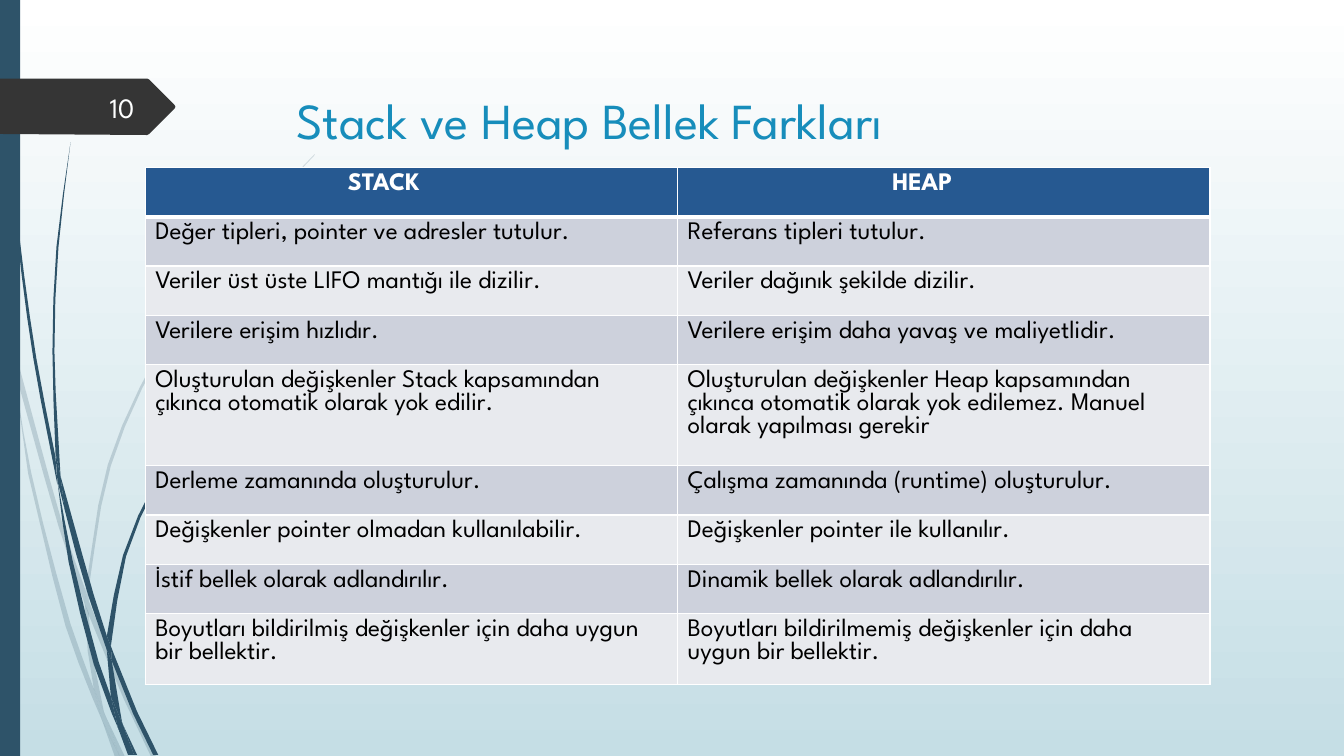
from math import dist
from lxml.etree import SubElement
from pptx import Presentation
from pptx.dml.color import RGBColor
from pptx.enum.shapes import MSO_SHAPE
from pptx.enum.text import MSO_ANCHOR, PP_ALIGN
from pptx.oxml.ns import qn
from pptx.util import Pt

PX = 9144  # 100 px to the inch
FONT = "League Spartan"
TEAL, WHITE = "2E5369", "FFFFFF"

TITLE = "Stack ve Heap Bellek Farkları"
PAGE = "10"
HEADS = [("STACK", 201), ("HEAP", 213)]  # text, left margin
ROWS = [
    ("Değer tipleri, pointer ve adresler tutulur.", "Referans tipleri tutulur."),
    ("Veriler üst üste LIFO mantığı ile dizilir.", "Veriler dağınık şekilde dizilir."),
    ("Verilere erişim hızlıdır.", "Verilere erişim daha yavaş ve maliyetlidir."),
    ("Oluşturulan değişkenler Stack kapsamından çıkınca otomatik olarak yok edilir.",
     "Oluşturulan değişkenler Heap kapsamından çıkınca otomatik olarak yok edilemez. "
     "Manuel olarak yapılması gerekir"),
    ("Derleme zamanında oluşturulur.", "Çalışma zamanında (runtime) oluşturulur."),
    ("Değişkenler pointer olmadan kullanılabilir.", "Değişkenler pointer ile kullanılır."),
    ("İstif bellek olarak adlandırılır.", "Dinamik bellek olarak adlandırılır."),
    ("Boyutları bildirilmiş değişkenler için daha uygun bir bellektir.",
     "Boyutları bildirilmemiş değişkenler için daha uygun bir bellektir."),
]
ROW_H, TALL_H, TALL = 49, 61, 4

# Each blade of grass has two smooth edges, given by the points they pass through
PALE = [
    ([(11, 350), (9, 322), (0, 282)], [(0, 299), (10, 344)]),
    ([(17, 376), (58, 522), (84, 599)], [(85, 586), (62, 520), (14, 345)]),
    ([(88, 610), (123, 694), (150, 751)], [(155, 751), (127, 692), (88, 596)]),
    ([(119, 751), (124, 751)], [(105, 711)]),
    ([(101, 714), (93, 683), (70, 619), (31, 469), (11, 350)],
     [(28, 470), (65, 621), (92, 693)]),
    ([(84, 599), (87, 646), (93, 683), (105, 711)], [(103, 706), (91, 646), (88, 608)]),
    ([(88, 596), (88, 584), (110, 462), (160, 349), (229, 245), (312, 154)],
     [(312, 153), (228, 244), (158, 348), (107, 461), (85, 584)]),
    ([(101, 714), (114, 751)], [(119, 751)]),
    ([(84, 599), (88, 610)], [(88, 596), (85, 586)]),
    ([(105, 711), (93, 683)], [(101, 714), (119, 751)]),
]
DARK = [
    ([(3, 0), (7, 110), (17, 233), (33, 355), (57, 481)],
     [(55, 453), (36, 355), (19, 232), (8, 109), (4, 0)]),
    ([(60, 472), (64, 505), (88, 592), (106, 645)], [(106, 631), (93, 590), (60, 472)]),
    ([(110, 641), (111, 656), (132, 708), (152, 749)], [(157, 749), (136, 706), (113, 649)]),
    ([(117, 722), (110, 691), (98, 657), (72, 556), (57, 477)],
     [(57, 477), (68, 557), (93, 659), (111, 708)]),
    ([(60, 472), (54, 349), (58, 245), (70, 141)],
     [(70, 141), (56, 245), (52, 349), (55, 449)]),
    ([(133, 749), (136, 749)], [(122, 719)]),
    ([(55, 449), (57, 477)], [(64, 505), (60, 472)]),
    ([(110, 641), (125, 552), (158, 476), (205, 406), (261, 344)],
     [(260, 344), (204, 405), (156, 474), (122, 551), (106, 631)]),
    ([(117, 722), (127, 749)], [(131, 749)]),
    ([(106, 645), (110, 691), (122, 719)], [(121, 716), (111, 656)]),
    ([(106, 645), (111, 656)], [(110, 641), (106, 631)]),
    ([(133, 749), (122, 719), (110, 691)], [(117, 722), (130, 749)]),
]
TAG = [(0, 78), (146, 78), (148, 79), (173, 104), (174, 106),
       (173, 108), (148, 133), (146, 134), (0, 133)]


def rgb(code):
    return RGBColor.from_string(code)


def px(*sizes):
    return [round(size * PX) for size in sizes]


def smooth(knots, reach=45):
    """Points, at most about reach apart, of a Hermite curve through the knots."""
    if len(knots) < 3:
        return knots
    last = len(knots) - 1
    slopes = []
    for i, knot in enumerate(knots):
        near = knots[max(i - 1, 0)], knots[min(i + 1, last)]
        span = dist(near[0], knot) + dist(knot, near[1])
        slopes.append([(b - a) / span for a, b in zip(*near)])
    curve = [knots[0]]
    for p, q, u, v in zip(knots, knots[1:], slopes, slopes[1:]):
        gap = dist(p, q)
        steps = max(1, round(gap / reach))
        for t in (n / steps for n in range(1, steps + 1)):
            ease = t * t * (3 - 2 * t)
            lead, tail = gap * t * (1 - t) ** 2, gap * t * t * (t - 1)
            curve.append(tuple(a + (b - a) * ease + c * lead + d * tail
                               for a, b, c, d in zip(p, q, u, v)))
    return curve


def paint(shape, color, alpha=100):
    shape.shadow.inherit = False
    shape.fill.solid()
    shape.fill.fore_color.rgb = rgb(color)
    shape.line.fill.background()
    if alpha < 100:
        tint = next(shape.fill._xPr.iter(qn("a:srgbClr")))
        SubElement(tint, qn("a:alpha"), val=str(alpha * 1000))


def trace(points, color, alpha=100):
    first, *rest = [px(*point) for point in points]
    pen = slide.shapes.build_freeform(*first, scale=1.0)
    pen.add_line_segments(rest, close=True)
    paint(pen.convert_to_shape(), color, alpha)


def write(frame, text, size, color, bold=False, align=PP_ALIGN.LEFT):
    frame.word_wrap = True
    para = frame.paragraphs[0]
    para.alignment = align
    run = para.add_run()
    run.text = text
    look = {"name": FONT, "size": Pt(size), "bold": bold}
    for key, value in look.items():
        setattr(run.font, key, value)
    run.font.color.rgb = rgb(color)


def edge(cell, bottom):
    """White borders, with the bottom one of the given width in points."""
    props = cell._tc.get_or_add_tcPr()
    for side, width in {"L": 1, "R": 1, "T": 1, "B": bottom}.items():
        line = SubElement(props, qn("a:ln" + side), w=str(Pt(width)))
        SubElement(SubElement(line, qn("a:solidFill")), qn("a:srgbClr"), val=WHITE)


deck = Presentation()
deck.slide_width, deck.slide_height = px(1333, 750)
slide = deck.slides.add_slide(deck.slide_layouts[6])

back = slide.background.fill
back.gradient()
back.gradient_angle = 270
for stop, color, place in zip(back.gradient_stops, (WHITE, "C5DEE5"), (0, 1)):
    stop.color.rgb = rgb(color)
    stop.position = place

for blades, alpha in ((PALE, 20), (DARK, 100)):
    for left, right in blades:
        trace(smooth(left) + smooth(right), TEAL, alpha)
paint(slide.shapes.add_shape(MSO_SHAPE.RECTANGLE, *px(0, 0, 20, 750)), TEAL)
trace(TAG, "353535")

title = slide.shapes.add_textbox(*px(284, 68, 975, 140)).text_frame
title.margin_top = PX * 20
write(title, TITLE, 36, "178DBB")

page = slide.shapes.add_textbox(*px(58, 86, 85, 40)).text_frame
page.vertical_anchor = MSO_ANCHOR.MIDDLE
write(page, PAGE, 20, "FEFFFF", align=PP_ALIGN.RIGHT)

heights = [TALL_H if i == TALL else ROW_H for i in range(len(ROWS) + 1)]
table = slide.shapes.add_table(
    len(heights), len(HEADS), *px(144, 166, 1056, sum(heights))).table
for row, height in zip(table.rows, heights):
    row.height = PX * height
for i, texts in enumerate([[head for head, _ in HEADS], *ROWS]):
    for j, text in enumerate(texts):
        cell = table.cell(i, j)
        edge(cell, 1 if i else 3)
        cell.fill.solid()
        cell.fill.fore_color.rgb = rgb(("E8EAEE", "CDD1DC")[i % 2] if i else "265991")
        if i == 0:
            cell.margin_left = PX * HEADS[j][1]
        write(cell.text_frame, text, 18, "000000" if i else WHITE, bold=i == 0)

deck.save("out.pptx")
